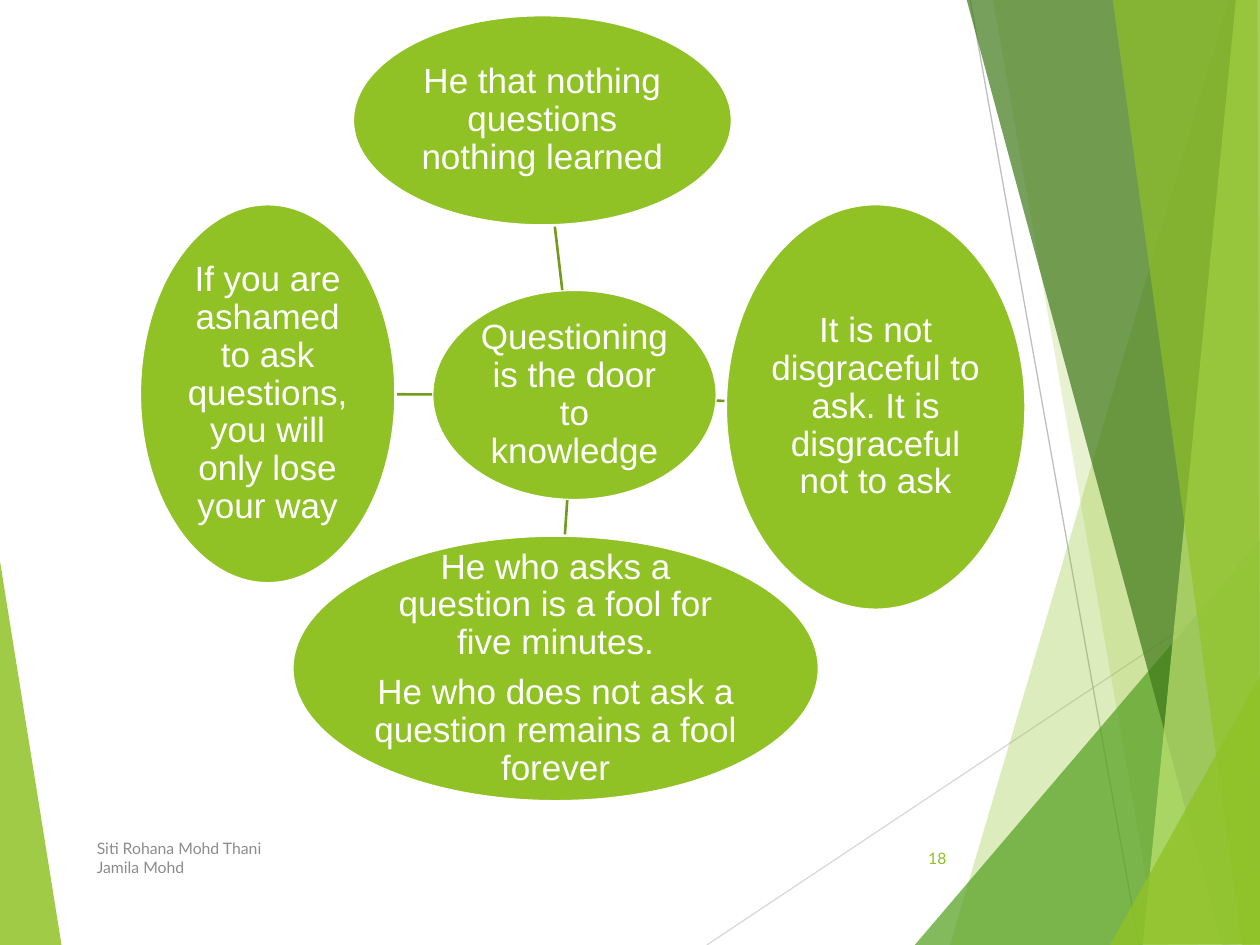
import math

import pptx
import pptx.dml.color
import pptx.enum.shapes
import pptx.enum.text
import pptx.oxml
import pptx.oxml.ns
import pptx.util

Inches = pptx.util.Inches
ALIGN = pptx.enum.text.PP_ALIGN

THEME = {
    "lime": "90C226", "green": "54A021", "forest": "3F7819", "pale": "C0E474",
    "spoke": "739B1E", "white": "FFFFFF", "grey": "8C8C8C",
    "body_font": "Arial", "footer_font": "Lato",
    "body_size": 20, "footer_size": 9, "line": 1.5, "thin": 0.75,
}

# colour, opacity in percent, corner points
FACETS_BACK = [("lime", 85, [(-0.01, 4.39), (0.49, 7.51), (-0.01, 7.5)])]
RAYS = [((5.61, 7.5), (10.01, 4.57), "D9D9D9"), ((7.7, 0), (9.04, 7.5), "BFBFBF")]
FACETS_FRONT = [
    ("lime", 30, [(9.75, 0), (7.54, 7.5), (10.02, 7.51), (10.01, 0.01)]),
    ("lime", 20, [(7.88, -0.01), (9.19, 7.5), (10.01, 7.5), (10.01, -0.01)]),
    ("green", 72, [(7.26, 7.5), (10, 4.29), (10.01, 7.5)]),
    ("forest", 70, [(7.67, -0.01), (9.7, 7.5), (10.01, 7.49), (10.01, -0.01)]),
    ("pale", 70, [(9.81, -0.01), (9.07, 7.5), (10.01, 7.5), (10, -0.01)]),
    ("lime", 65, [(8.83, -0.01), (9.86, 7.5), (10, 7.5), (9.98, -0.01)]),
    ("lime", 80, [(8.81, 7.5), (10.01, 5.35), (10.01, 7.49)]),
]

# left, top, width, height, paragraphs
HUB = ((3.43, 2.3, 2.26, 1.67), ["Questioning is the door to knowledge"])
SAYINGS = [
    ((2.8, 0.12, 3.01, 1.67), ["He that nothing questions nothing learned"]),
    ((5.76, 1.62, 2.38, 3.22),
     ["It is not disgraceful to ask. It is disgraceful not to ask"]),
    ((2.32, 4.25, 4.18, 2.11),
     ["He who asks a question is a fool for five minutes.",
      "He who does not ask a question remains a fool forever"]),
    ((1.11, 1.62, 2.03, 3.01),
     ["If you are ashamed to ask questions, you will only lose your way"]),
]
FOOTERS = [
    ((0.67, 6.61, 5.06, 0.4), ["Siti Rohana Mohd Thani", "Jamila Mohd"], "grey", ALIGN.LEFT),
    ((7.05, 6.61, 0.56, 0.4), ["18"], "lime", ALIGN.RIGHT),
]


def rgb(name):
    return pptx.dml.color.RGBColor.from_string(THEME.get(name, name))


def inches(values):
    return [Inches(v) for v in values]


def write(sp, paragraphs, *, font, size, color, align, inset=None, leading=None, after=0):
    tf = sp.text_frame
    tf.word_wrap = True
    tf.vertical_anchor = pptx.enum.text.MSO_ANCHOR.MIDDLE
    if inset is not None:
        tf.margin_left = tf.margin_right = tf.margin_top = tf.margin_bottom = Inches(inset)
    for i, text in enumerate(paragraphs):
        p = tf.add_paragraph() if i else tf.paragraphs[0]
        p.alignment = align
        p.line_spacing = leading
        p.space_after = pptx.util.Pt(after)
        r = p.add_run()
        r.text = text
        r.font.name = font
        r.font.size = pptx.util.Pt(size)
        r.font.color.rgb = rgb(color)


def add_facet(s, color, opacity, points):
    start, *rest = [inches(pt) for pt in points]
    builder = s.shapes.build_freeform(*start)
    builder.add_line_segments(rest, close=True)
    sp = builder.convert_to_shape()
    sp.shadow.inherit = False
    sp.line.fill.background()
    sp.fill.solid()
    sp.fill.fore_color.rgb = rgb(color)
    srgb = sp.fill._xPr.find(".//" + pptx.oxml.ns.qn("a:srgbClr"))
    alpha = pptx.oxml.parse_xml(
        f'<a:alpha {pptx.oxml.ns.nsdecls("a")} val="{opacity * 1000}"/>')
    srgb.append(alpha)


def add_line(s, start, end, color, width):
    line = s.shapes.add_connector(
        pptx.enum.shapes.MSO_CONNECTOR.STRAIGHT, *inches(start), *inches(end))
    line.line.color.rgb = rgb(color)
    line.line.width = pptx.util.Pt(width)
    line._element.spPr.append(
        pptx.oxml.parse_xml(f'<a:effectLst {pptx.oxml.ns.nsdecls("a")}/>'))


def center(box):
    left, top, width, height = box
    return left + width / 2, top + height / 2


def rim_point(box, target):
    """Point where the ray from the ellipse's centre to target leaves the ellipse."""
    cx, cy = center(box)
    dx, dy = target[0] - cx, target[1] - cy
    scale = 1 / math.hypot(dx / (box[2] / 2), dy / (box[3] / 2))
    return cx + dx * scale, cy + dy * scale


def add_bubble(s, box, paragraphs):
    sp = s.shapes.add_shape(pptx.enum.shapes.MSO_SHAPE.OVAL, *inches(box))
    sp.shadow.inherit = False
    sp.fill.solid()
    sp.fill.fore_color.rgb = rgb("lime")
    sp.line.color.rgb = rgb("white")
    sp.line.width = pptx.util.Pt(THEME["line"])
    write(sp, paragraphs, font=THEME["body_font"], size=THEME["body_size"],
          color="white", align=ALIGN.CENTER, inset=0.01, leading=0.9, after=7)


def main():
    prs = pptx.Presentation()
    prs.slide_width, prs.slide_height = inches((10, 7.5))
    s = prs.slides.add_slide(prs.slide_layouts[6])

    for facet in FACETS_BACK:
        add_facet(s, *facet)
    for start, end, color in RAYS:
        add_line(s, start, end, color, THEME["thin"])
    for facet in FACETS_FRONT:
        add_facet(s, *facet)

    hub_box = HUB[0]
    add_bubble(s, *HUB)
    for box, paragraphs in SAYINGS:
        add_line(s, rim_point(hub_box, center(box)), rim_point(box, center(hub_box)),
                 "spoke", THEME["line"])
        add_bubble(s, box, paragraphs)

    for box, paragraphs, color, align in FOOTERS:
        write(s.shapes.add_textbox(*inches(box)), paragraphs, font=THEME["footer_font"],
              size=THEME["footer_size"], color=color, align=align)
    prs.save("out.pptx")


if __name__ == "__main__":
    main()
